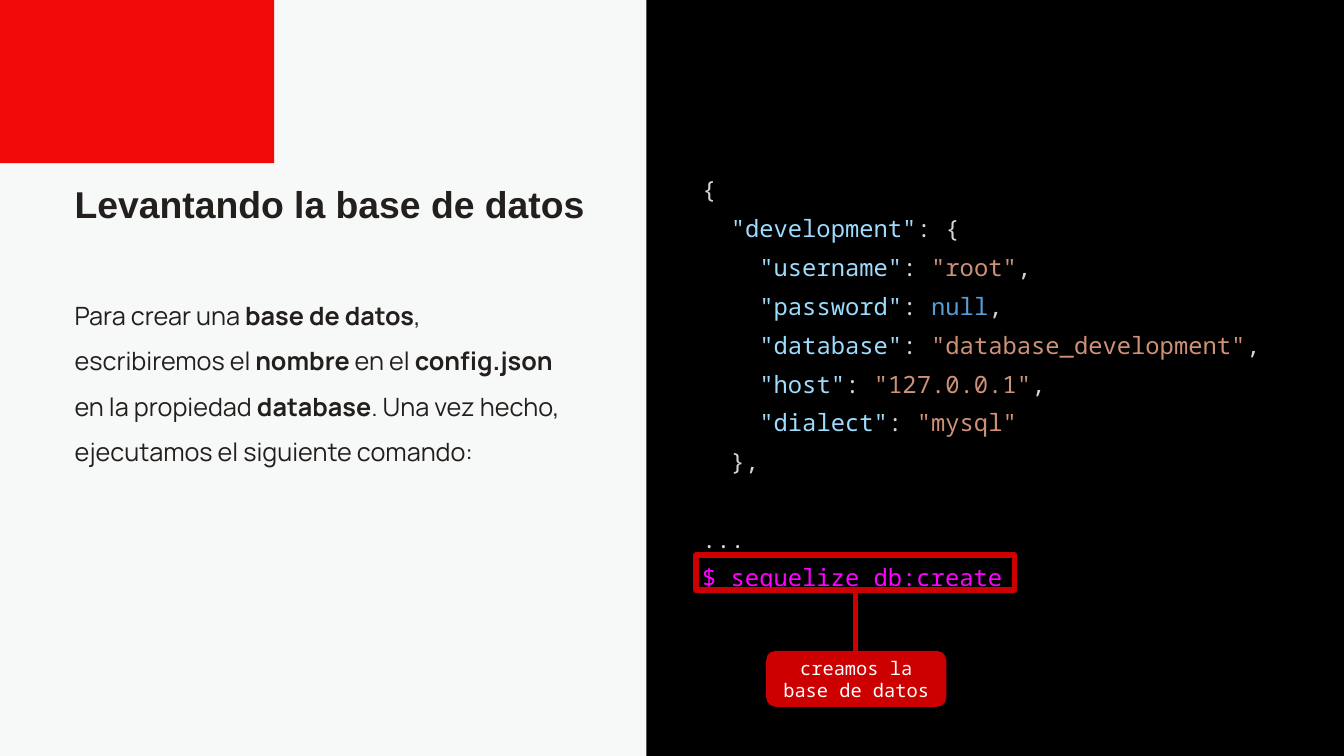
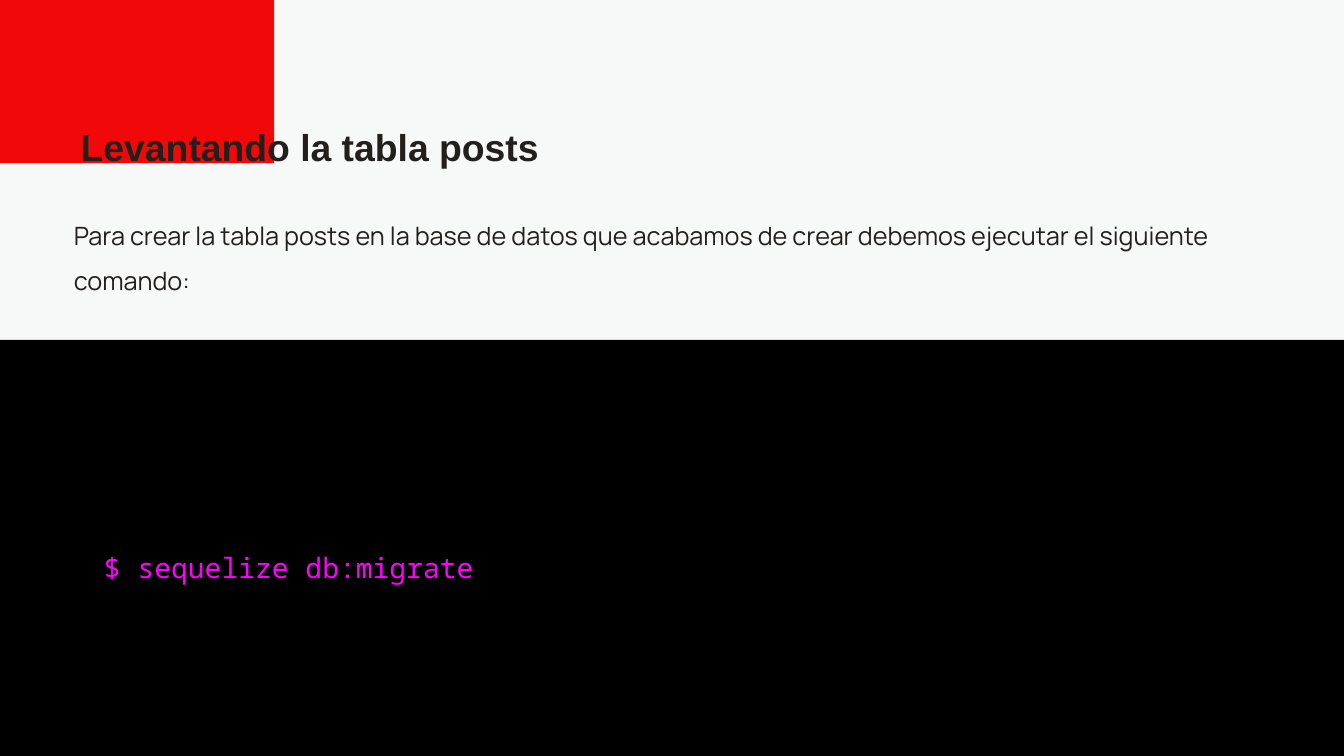
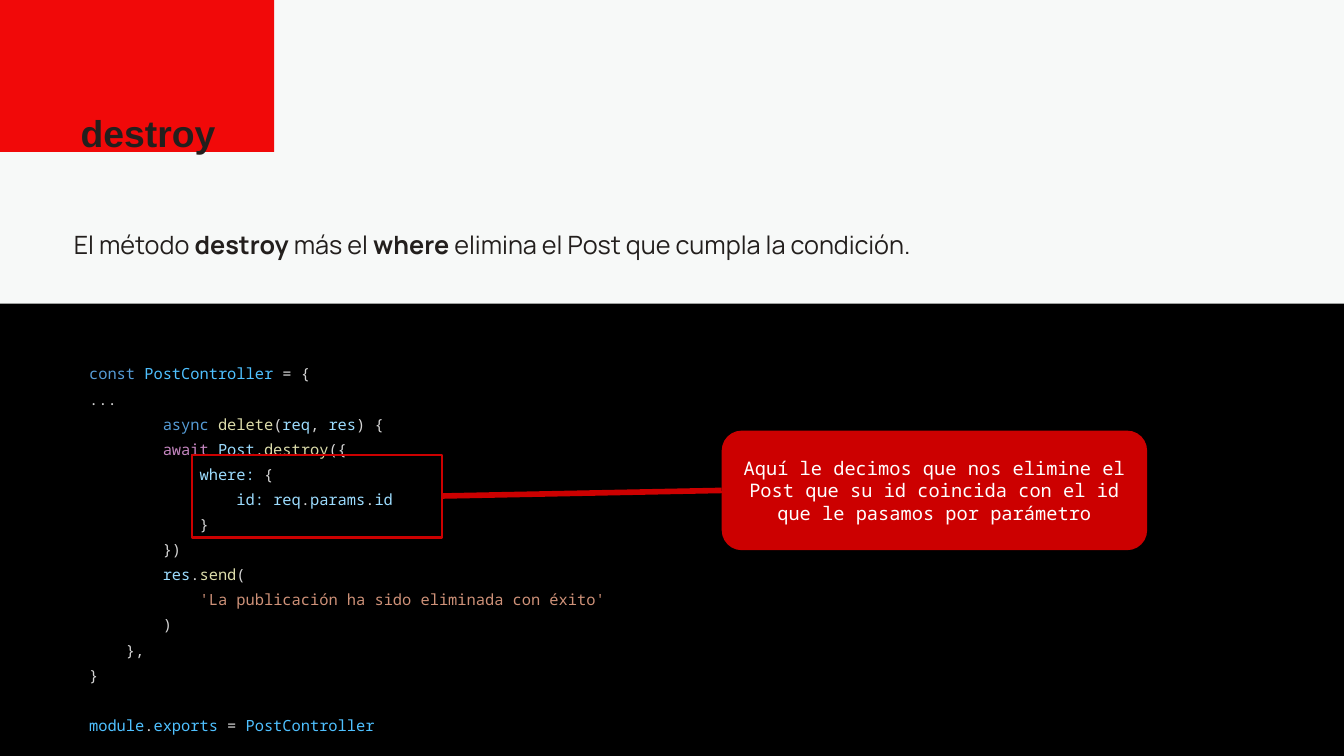
from dataclasses import dataclass
from typing import NamedTuple, Optional

from lxml import etree
from pptx import Presentation
from pptx import util as u
from pptx.dml.color import RGBColor
from pptx.enum import shapes, text

COLORS = {
    "paper": "F7F9F8", "red": "F10909", "black": "000000", "ink": "231F1D",
    "mark": "CC0000", "white": "FFFFFF",
    # code syntax
    "plain": "D4D4D4", "name": "9CDCFE", "string": "CE9178", "word": "569CD6",
    "const": "4FC1FF", "call": "DCDCAA", "flow": "C586C0", "shell": "FF00FF",
}
MONO = "Noto Sans Mono"
WIDE, HIGH = 50.8, 28.58
PAD = 0.25
LINE = 1.36   # line spacing of code
BLANK = 1.62  # height of an empty code line, per point of size


class Box(NamedTuple):
    """Left, top, width and height in centimetres."""
    x: float
    y: float
    w: float
    h: float


class Note(NamedTuple):
    """A frame around code, tied by a line to a callout."""
    frame: Box
    weight: float
    label: Box
    words: str
    start: tuple
    end: tuple


@dataclass
class Code:
    box: Box
    size: float
    lines: list
    anchor: text.MSO_ANCHOR = text.MSO_ANCHOR.TOP


@dataclass
class Page:
    title: str
    head: Box
    body: str  # bold parts stand between asterisks
    main: Box
    dark: Box
    code: Code
    note: Optional[Note] = None
    tall: float = 6.17  # height of the red block


def tint(key: str) -> RGBColor:
    return RGBColor.from_string(COLORS[key])


def cm(box: Box) -> list:
    return [u.Cm(n) for n in box]


def style(par, font: str, size: float, color: str, space: float = 1) -> None:
    par.line_spacing = space
    par.space_before = u.Pt(0)
    par.font.name = font
    par.font.size = u.Pt(size)
    par.font.color.rgb = tint(color)


def setup(frame, pad: float, anchor=text.MSO_ANCHOR.TOP) -> None:
    frame.word_wrap = True
    frame.auto_size = text.MSO_AUTO_SIZE.NONE
    frame.vertical_anchor = anchor
    frame.margin_left = frame.margin_right = u.Cm(pad)
    frame.margin_top = frame.margin_bottom = u.Cm(pad)


def place(holder, box: Box):
    """Move a placeholder and return its first paragraph, without bullet."""
    holder.left, holder.top, holder.width, holder.height = cm(box)
    setup(holder.text_frame, 0)
    par = holder.text_frame.paragraphs[0]
    par.alignment = text.PP_ALIGN.LEFT
    props = par._p.get_or_add_pPr()
    props.set("marL", "0")
    props.set("indent", "0")
    etree.SubElement(props, props.tag.replace("pPr", "buNone"))
    return par


def block(slide, kind, box: Box, fill: str = "", line: float = 0):
    shape = slide.shapes.add_shape(kind, *cm(box))
    shape.shadow.inherit = False
    if fill:
        shape.fill.solid()
        shape.fill.fore_color.rgb = tint(fill)
    else:
        shape.fill.background()
    if line:
        shape.line.color.rgb = tint("mark")
        shape.line.width = u.Pt(line)
    else:
        shape.line.fill.background()
    return shape


def band(slide, box: Box, fill: str) -> None:
    """Draw a plain band behind the placeholders."""
    shape = block(slide, shapes.MSO_SHAPE.RECTANGLE, box, fill)
    slide.shapes.element.insert(2, shape.element)


def listing(slide, code: Code) -> None:
    frame = slide.shapes.add_textbox(*cm(code.box)).text_frame
    setup(frame, PAD, code.anchor)
    par, gap = frame.paragraphs[0], 0
    for line in code.lines:
        if not line:
            gap = code.size * BLANK
            continue
        if par.runs:
            par = frame.add_paragraph()
        style(par, MONO, code.size, "plain", LINE)
        par.space_before = u.Pt(gap)
        gap = 0
        for key, part in line:
            run = par.add_run()
            run.text = part
            run.font.color.rgb = tint(key)


def remark(slide, note: Note) -> None:
    block(slide, shapes.MSO_SHAPE.RECTANGLE, note.frame, line=note.weight)
    label = block(slide, shapes.MSO_SHAPE.ROUNDED_RECTANGLE, note.label, "mark")
    setup(label.text_frame, PAD, text.MSO_ANCHOR.MIDDLE)
    par = label.text_frame.paragraphs[0]
    par.text = note.words
    par.alignment = text.PP_ALIGN.CENTER
    style(par, MONO, 20, "white")
    ends = [u.Cm(n) for n in note.start + note.end]
    link = slide.shapes.add_connector(shapes.MSO_CONNECTOR.STRAIGHT, *ends)
    link.line.color.rgb = tint("mark")
    link.line.width = u.Pt(6)
    props = link._element.spPr
    etree.SubElement(props, props.tag.split("}")[0].replace(
        "presentationml", "drawingml").replace("/2006/main", "/2006/main}effectLst"))


def build(deck, page: Page) -> None:
    slide = deck.slides.add_slide(deck.slide_layouts[1])
    # title and body
    par = place(slide.shapes.title, page.head)
    par.text = page.title
    style(par, "Arial", 40, "ink", 1.2)
    par.font.bold = True
    par = place(slide.placeholders[1], page.main)
    style(par, "Manrope", 27, "ink", 1.5)
    for i, part in enumerate(page.body.split("*")):
        run = par.add_run()
        run.text = part
        run.font.bold = i % 2 == 1
    # bands, code and callout
    band(slide, page.dark, "black")
    band(slide, Box(0, 0, 10.36, page.tall), "red")
    listing(slide, page.code)
    if page.note:
        remark(slide, page.note)


def entry(name: str, value: str, key: str = "string", end: str = ",") -> list:
    """One property line of the JSON listing."""
    line = [("plain", "    "), ("name", f'"{name}"'), ("plain", ": "), (key, value)]
    return line + [("plain", end)] if end else line


def plain(line: str) -> list:
    return [("plain", line)]


CONFIG = [
    plain("{"),
    [("plain", "  "), ("name", '"development"'), ("plain", ": {")],
    entry("username", '"root"'),
    entry("password", "null", "word"),
    entry("database", '"database_development"'),
    entry("host", '"127.0.0.1"'),
    entry("dialect", '"mysql"', end=""),
    plain("  },"),
    [],
    plain("..."),
    [("shell", "$ sequelize db:create")],
]

DESTROY = [
    [("word", "const "), ("const", "PostController"), ("plain", " = {")],
    plain("..."),
    [("word", "        async "), ("call", "delete"), ("plain", "("), ("name", "req"),
     ("plain", ", "), ("name", "res"), ("plain", ") {")],
    [("flow", "        await "), ("name", "Post"), ("plain", "."),
     ("call", "destroy"), ("plain", "({")],
    [("name", "            where:"), ("plain", " {")],
    [("name", "                id: req"), ("plain", "."), ("name", "params"),
     ("plain", "."), ("name", "id")],
    plain("            }"),
    plain("        })"),
    [("name", "        res"), ("plain", "."), ("call", "send"), ("plain", "(")],
    [("string", "            'La publicación ha sido eliminada con éxito'")],
    plain("        )"),
    plain("    },"),
    plain("}"),
    [],
    [("const", "module"), ("plain", "."), ("const", "exports"), ("plain", " = "),
     ("const", "PostController")],
]

PAGES = [
    Page(
        "Levantando la base de datos", Box(2.82, 6.53, 19.76, 1.7),
        "Para crear una *base de datos*, escribiremos el *nombre* en el "
        "*config.json* en la propiedad *database*. Una vez hecho, ejecutamos "
        "el siguiente comando:", Box(2.82, 10.77, 18.49, 8.08),
        Box(24.43, 0, WIDE - 24.43, HIGH),
        Code(Box(26.29, 3.99, 23.93, 20.62), 25.5, CONFIG, text.MSO_ANCHOR.MIDDLE),
        Note(Box(26.31, 20.98, 12.04, 1.32), 6, Box(28.96, 24.61, 6.81, 2.11),
             "creamos la base de datos", (32.33, 22.3), (32.33, 24.61)),
    ),
    Page(
        "Levantando la tabla posts", Box(3.05, 4.37, 36.2, 1.7),
        "Para crear la tabla posts en la base de datos que acabamos de crear "
        "debemos ejecutar el siguiente comando:", Box(2.79, 7.75, 44.15, 2.9),
        Box(0, 12.85, WIDE, HIGH - 12.85),
        Code(Box(3.68, 20.12, 43.43, 1.8), 30, [[("shell", "$ sequelize db:migrate")]]),
    ),
    Page(
        "destroy", Box(3.05, 3.84, 36.2, 1.7),
        "El método *destroy* más el *where* elimina el Post que cumpla la condición.",
        Box(2.79, 8.08, 44.15, 1.14),
        Box(0, 11.48, WIDE, HIGH - 11.48),
        Code(Box(3.12, 13.28, 43.43, 14.63), 16.5, DESTROY),
        Note(Box(7.26, 17.2, 9.45, 3.12), 3, Box(27.28, 16.28, 16.08, 4.52),
             "Aquí le decimos que nos elimine el Post que su id coincida con el id "
             "que le pasamos por parámetro", (16.74, 18.75), (27.28, 18.54)),
        tall=5.74,
    ),
]


def main() -> None:
    deck = Presentation()
    deck.slide_width, deck.slide_height = u.Cm(WIDE), u.Cm(HIGH)
    back = deck.slide_master.background.fill
    back.solid()
    back.fore_color.rgb = tint("paper")
    for page in PAGES:
        build(deck, page)
    deck.save("out.pptx")


if __name__ == "__main__":
    main()
